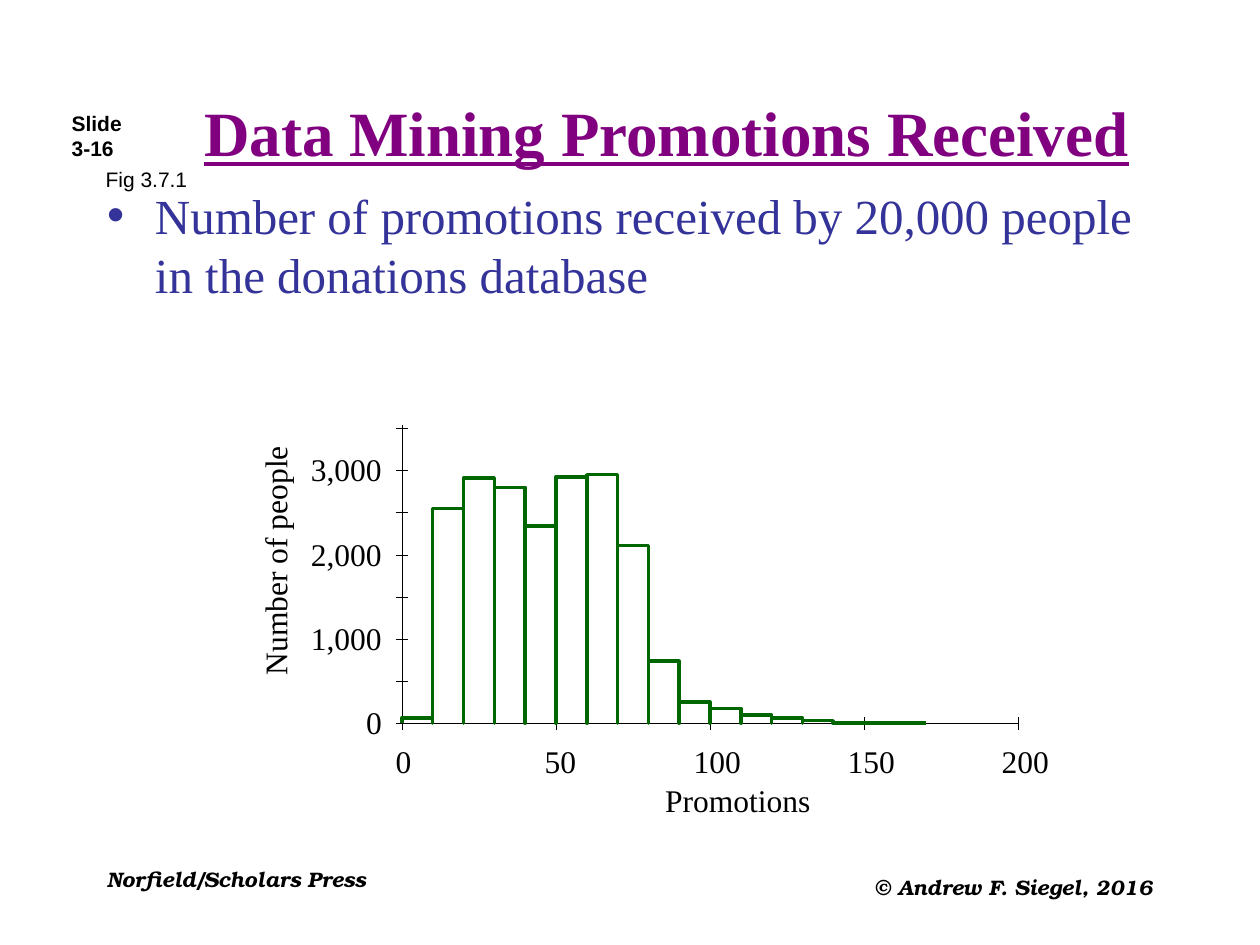
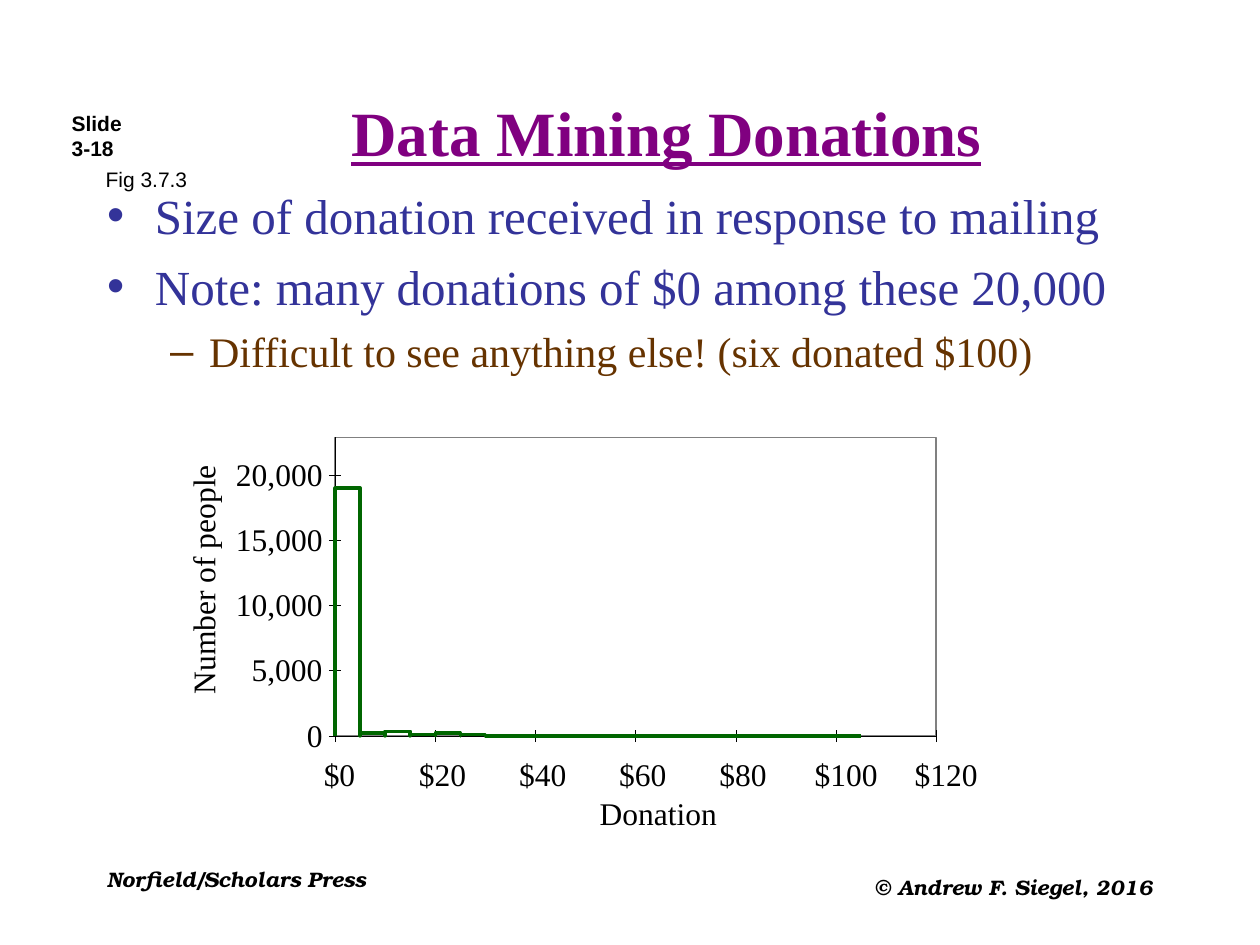
from dataclasses import dataclass

from lxml import etree
from pptx import Presentation
from pptx import util as u
from pptx.dml.color import RGBColor
from pptx.enum import shapes, text
from pptx.oxml import ns

Inches = u.Inches
LEFT, MID, RIGHT = text.PP_ALIGN.LEFT, text.PP_ALIGN.CENTER, text.PP_ALIGN.RIGHT


@dataclass(frozen=True)
class Theme:
    ink: str = "000000"
    title: str = "800080"
    bar: str = "006600"
    frame: str = "808080"
    serif: str = "Times New Roman"
    sans: str = "Arial"
    foot: str = "TeX Gyre Bonum"
    head: int = 36
    label: int = 18
    small: int = 12
    hair: float = 0.25
    # per list level: bullet, colour, size, space before, left, hang
    levels: tuple = (
        ("•", "333399", 28, 7, 0.38, 0.38),
        ("–", "663300", 24, 6, 0.81, 0.31),
    )


@dataclass
class Plot:
    """A histogram: its origin and length in inches, its scales in data units."""
    left: float
    base: float
    width: float
    xmax: int
    xstep: int
    xform: str
    ymax: int
    ystep: int
    yeach: int      # ticks from one y label to the next
    unit: float     # inches per y tick
    yright: float   # right edge of the y labels
    bin: int
    counts: list
    xname: tuple    # wording, left, width
    yname: tuple    # wording, centre x, centre y
    frame: bool = False


def write(para, words, *, font, size, color, align=LEFT, bold=False,
          italic=False, under=False):
    para.alignment = align
    run = para.add_run()
    run.text = words
    f = run.font
    f.name, f.size = font, u.Pt(size)
    f.bold, f.italic, f.underline = bold, italic, under
    f.color.rgb = RGBColor.from_string(color)


def mark(para, char, color, left, hang):
    """Give a paragraph a coloured bullet and a hanging indent."""
    props = para._p.get_or_add_pPr()
    props.set("marL", str(Inches(left)))
    props.set("indent", str(-Inches(hang)))
    tint = etree.SubElement(props, ns.qn("a:buClr"))
    etree.SubElement(tint, ns.qn("a:srgbClr"), val=color)
    etree.SubElement(props, ns.qn("a:buChar"), char=char)


class Deck:
    HIGH = 2.37     # height of the plot area
    TICK = 0.05     # half length of a tick

    def __init__(self, theme):
        self.theme = theme
        self.file = Presentation()
        self.file.slide_width, self.file.slide_height = Inches(10), Inches(7.5)
        self.slide = None

    def start(self, title, number, figure, points):
        t = self.theme
        self.slide = self.file.slides.add_slide(self.file.slide_layouts[1])
        foot = dict(font=t.foot, bold=True, italic=True, size=t.small)
        self.box(["Slide", number], 0.47, 0.83, 1.15, 0.5, pad=True,
                 font=t.sans, bold=True, size=t.small)
        self.box(["Norfield/Scholars Press"], 0.75, 6.83, 2.33, 0.5,
                 pad=True, wrap=True, **foot)
        self.title(title)
        self.list(points)
        self.box([figure], 0.74, 1.27, 0.85, 0.3, pad=True,
                 font=t.sans, size=t.small)
        self.box(["© Andrew F. Siegel, 2016"], 5.58, 6.89, 3.67, 0.45,
                 pad=True, wrap=True, align=RIGHT, **foot)

    def place(self, holder, x, y, w, h, anchor):
        holder.left, holder.top = Inches(x), Inches(y)
        holder.width, holder.height = Inches(w), Inches(h)
        frame = holder.text_frame
        frame.auto_size = text.MSO_AUTO_SIZE.NONE
        frame.vertical_anchor = anchor
        return frame

    def title(self, words):
        t = self.theme
        frame = self.place(self.slide.shapes.title, 1.33, 0.67, 7.92, 0.75,
                           text.MSO_ANCHOR.MIDDLE)
        write(frame.paragraphs[0], words, font=t.serif, size=t.head,
              color=t.title, align=MID, bold=True, under=True)

    def list(self, points):
        """Fill the body with (level, words) pairs."""
        frame = self.place(self.slide.placeholders[1], 0.75, 1.42, 8.5, 5.25,
                           text.MSO_ANCHOR.TOP)
        for i, (level, words) in enumerate(points):
            para = frame.add_paragraph() if i else frame.paragraphs[0]
            char, color, size, gap, left, hang = self.theme.levels[level]
            para.level = level
            mark(para, char, color, left, hang)
            para.space_before = u.Pt(gap if i else 0)
            write(para, words, font=self.theme.serif, size=size, color=color)

    def box(self, lines, x, y, w, h, pad=False, wrap=False, turn=0, **style):
        """Add a text box; one that does not wrap grows to fit its text."""
        shape = self.slide.shapes.add_textbox(
            Inches(x), Inches(y), Inches(w), Inches(h))
        shape.rotation = turn
        frame = shape.text_frame
        frame.word_wrap = wrap
        if not wrap:
            frame.auto_size = text.MSO_AUTO_SIZE.SHAPE_TO_FIT_TEXT
        if not pad:
            frame.margin_left = frame.margin_right = 0
            frame.margin_top = frame.margin_bottom = 0
        style = dict(font=self.theme.serif, size=self.theme.label,
                     color=self.theme.ink) | style
        for i, words in enumerate(lines):
            para = frame.add_paragraph() if i else frame.paragraphs[0]
            write(para, words, **style)

    def line(self, x1, y1, x2, y2):
        """Draw a hairline."""
        link = self.slide.shapes.add_connector(
            shapes.MSO_CONNECTOR.STRAIGHT,
            Inches(x1), Inches(y1), Inches(x2), Inches(y2))
        link.line.color.rgb = RGBColor.from_string(self.theme.ink)
        link.line.width = u.Pt(self.theme.hair)
        etree.SubElement(link._element.spPr, ns.qn("a:effectLst"))

    def outline(self, shape, color, width):
        shape.shadow.inherit = False
        shape.fill.background()
        shape.line.color.rgb = RGBColor.from_string(color)
        shape.line.width = u.Pt(width)

    def plot(self, p):
        top = p.base - self.HIGH
        if p.frame:
            rect = self.slide.shapes.add_shape(
                shapes.MSO_SHAPE.RECTANGLE, Inches(p.left), Inches(top),
                Inches(p.width), Inches(self.HIGH))
            self.outline(rect, self.theme.frame, 0.75)
        self.line(p.left, top, p.left, p.base)
        self.line(p.left, p.base, p.left + p.width, p.base)
        self.rise(p)
        self.run(p)
        self.bars(p)
        words, x, w = p.xname
        self.box([words], x, p.base + 0.46, w, 0.3)
        words, x, y = p.yname
        self.box([words], x - 0.91, y - 0.15, 1.82, 0.3, turn=270)

    def rise(self, p):
        """Ticks and labels of the y axis."""
        for i, value in enumerate(range(0, p.ymax + 1, p.ystep)):
            y = p.base - i * p.unit
            self.line(p.left - self.TICK, y, p.left + self.TICK, y)
            if i % p.yeach == 0:
                words = f"{value:,}"
                w = 0.125 * len(words) - 0.06 * words.count(",")
                self.box([words], p.yright - w, y - 0.16, w, 0.3, align=RIGHT)

    def run(self, p):
        """Ticks and labels of the x axis."""
        for value in range(0, p.xmax + 1, p.xstep):
            x = p.left + p.width * value / p.xmax
            self.line(x, p.base + self.TICK, x, p.base - self.TICK)
            words = p.xform.format(value)
            n = len(words)
            self.box([words], x - 0.01 - 0.04 * n, p.base + 0.15,
                     0.125 * n, 0.3)

    def bars(self, p):
        """One open path that climbs and drops once for each bin."""
        wide = p.width * p.bin / p.xmax
        points = []
        for i, count in enumerate(p.counts):
            x, y = p.left + i * wide, p.base - count * p.unit / p.ystep
            points += [(x, y), (x + wide, y), (x + wide, p.base)]
        pen = self.slide.shapes.build_freeform(Inches(p.left), Inches(p.base))
        pen.add_line_segments([(Inches(x), Inches(y)) for x, y in points],
                              close=False)
        self.outline(pen.convert_to_shape(), self.theme.bar, 2)


def main():
    deck = Deck(Theme())

    deck.start("Data Mining Promotions Received", "3-16", "Fig 3.7.1", [
        (0, "Number of promotions received by 20,000 people "
            "in the donations database"),
    ])
    deck.plot(Plot(
        left=3.19, base=5.74, width=4.89, xmax=200, xstep=50, xform="{}",
        ymax=3500, ystep=500, yeach=2, unit=2.34 / 7, yright=3.03, bin=10,
        counts=[60, 2550, 2910, 2800, 2340, 2925, 2950, 2110, 735, 250,
                175, 95, 60, 30, 0, 0, 0],
        xname=("Promotions", 5.28, 1.16),
        yname=("Number of people", 2.18, 4.45)))

    deck.start("Data Mining Donations", "3-18", "Fig 3.7.3", [
        (0, "Size of donation received in response to mailing"),
        (0, "Note: many donations of $0 among these 20,000"),
        (1, "Difficult to see anything else! (six donated $100)"),
    ])
    deck.plot(Plot(
        left=2.66, base=5.84, width=4.77, xmax=120, xstep=20, xform="${}",
        ymax=20000, ystep=5000, yeach=1, unit=2.07 / 4, yright=2.56, bin=5,
        counts=[19000, 200, 340, 100, 200, 100] + [0] * 15,
        xname=("Donation", 4.76, 0.94),
        yname=("Number of people", 1.61, 4.6), frame=True))

    deck.file.save("out.pptx")


if __name__ == "__main__":
    main()
